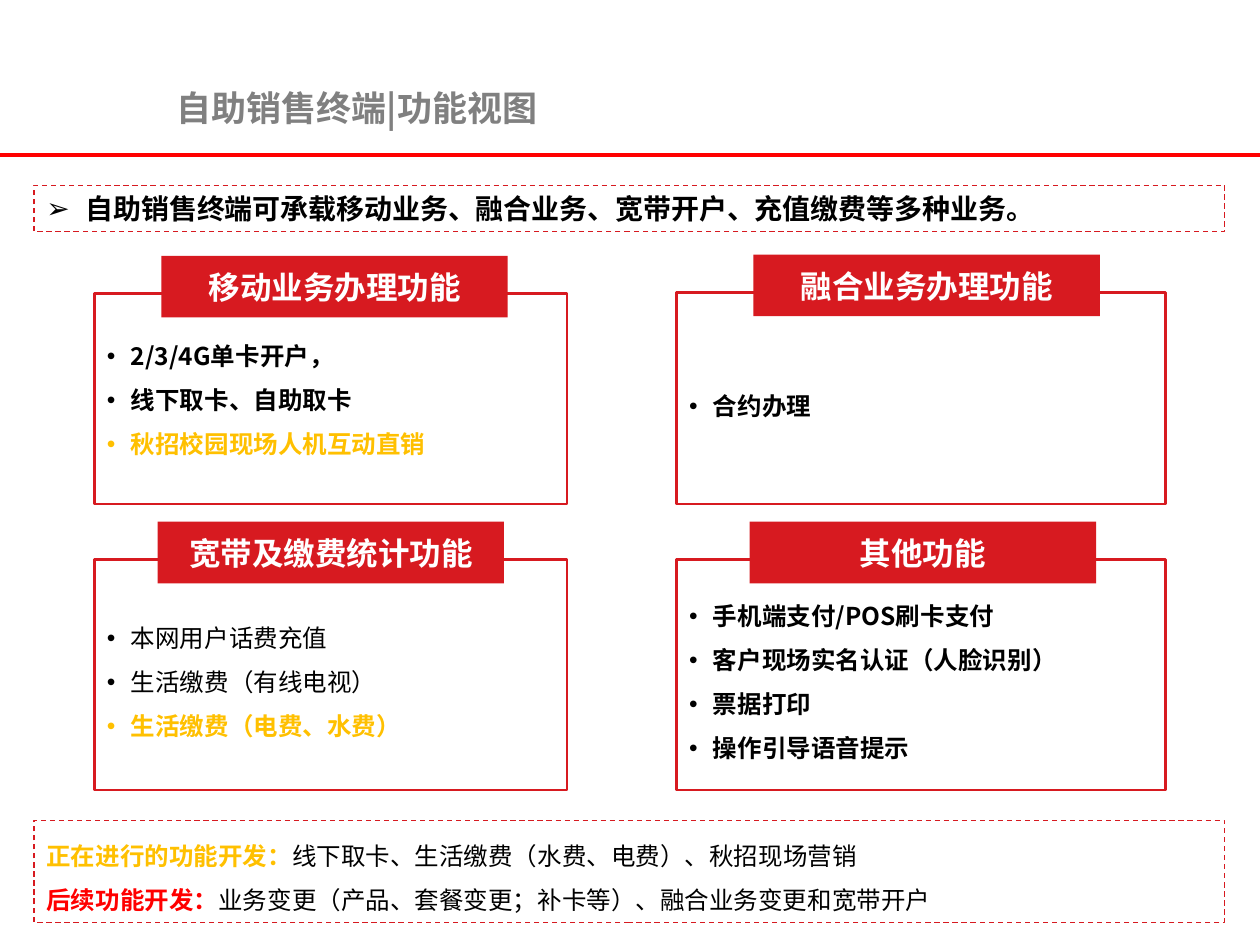
from collections import namedtuple

from lxml.etree import SubElement
from pptx import Presentation
from pptx.dml.color import RGBColor
from pptx.enum.dml import MSO_LINE_DASH_STYLE as Dash
from pptx.enum.shapes import MSO_CONNECTOR as Connector, MSO_SHAPE as Shape
from pptx.enum.text import MSO_ANCHOR as Anchor, MSO_AUTO_SIZE as AutoSize, PP_ALIGN as Align
from pptx.oxml.ns import qn
from pptx.util import Inches, Pt

FONT = "Noto Sans CJK SC"
CRIMSON = RGBColor(0xD7, 0x1A, 0x20)
RED = RGBColor(0xFF, 0x00, 0x00)
AMBER = RGBColor(0xFF, 0xC0, 0x00)
GRAY = RGBColor(0x80, 0x80, 0x80)
BLACK = RGBColor(0x00, 0x00, 0x00)
WHITE = RGBColor(0xFF, 0xFF, 0xFF)

WIDTH, HEIGHT = Inches(10), Inches(7.5)
COLUMN, ROW = WIDTH / 100, HEIGHT / 75

Box = namedtuple("Box", "left top width height")
Item = namedtuple("Item", "text color bold", defaults=(BLACK, True))


def place(box):
    return (int(box.left * COLUMN), int(box.top * ROW),
            int(box.width * COLUMN), int(box.height * ROW))


def style_span(span, size, color, bold):
    span.font.name = FONT
    span.font.size = Pt(size)
    span.font.bold = bold
    span.font.color.rgb = color
    SubElement(span.font._element, qn("a:ea"), typeface=FONT)


def add_bullet(para, symbol, indent):
    props = para._p.get_or_add_pPr()
    props.set("marL", str(Inches(indent)))
    props.set("indent", str(-Inches(indent)))
    SubElement(props, qn("a:buFont"), typeface="Arial")
    SubElement(props, qn("a:buChar"), char=symbol)


def add_box(page, box, fill=None, line_width=None, dash=None):
    shape = page.shapes.add_shape(Shape.RECTANGLE, *place(box))
    shape.shadow.inherit = False
    if fill is None:
        shape.fill.background()
    else:
        shape.fill.solid()
        shape.fill.fore_color.rgb = fill
    if line_width is None:
        shape.line.fill.background()
    else:
        shape.line.color.rgb = CRIMSON
        shape.line.width = Pt(line_width)
        if dash is not None:
            shape.line.dash_style = dash
    shape.text_frame.word_wrap = True
    shape.text_frame.vertical_anchor = Anchor.MIDDLE
    return shape


def write_lines(frame, lines, size, align=Align.LEFT, spacing=None, bullet=None, indent=0):
    frame.text = "\n".join("".join(item.text for item in line) for line in lines)
    for para, line in zip(frame.paragraphs, lines):
        para.alignment = align
        para.line_spacing = spacing
        if bullet:
            add_bullet(para, bullet, indent)
        para.runs[0].text = line[0].text
        for item in line[1:]:
            para.add_run().text = item.text
        for span, item in zip(para.runs, line):
            style_span(span, size, item.color, item.bold)


def add_header(page, box, text):
    title = page.shapes.title
    title.left, title.top, title.width, title.height = place(box)
    frame = title.text_frame
    frame.vertical_anchor = Anchor.MIDDLE
    write_lines(frame, [[Item(text, GRAY)]], 20)
    rule_top = int((box.top + 6) * ROW)
    rule = page.shapes.add_connector(Connector.STRAIGHT, 0, rule_top, WIDTH, rule_top)
    rule.line.color.rgb = RED
    rule.line.width = Pt(2)
    SubElement(rule._element.spPr, qn("a:effectLst"))


def add_panel(page, box, tab_offset, heading, items, bottom_inset=0.05):
    body = add_box(page, box, line_width=1.5)
    body.text_frame.margin_bottom = Inches(bottom_inset)
    write_lines(body.text_frame, [[item] for item in items], 14,
                spacing=1.5, bullet="•", indent=0.19)
    tab = add_box(page, Box(box.left + tab_offset, box.top - 3, 27.5, 4.9), fill=CRIMSON)
    write_lines(tab.text_frame, [[Item(heading, WHITE)]], 18, Align.CENTER)


def add_callout(page, box, lines, size, anchor, **layout):
    callout = add_box(page, box, line_width=0.75, dash=Dash.DASH)
    callout.text_frame.vertical_anchor = anchor
    callout.text_frame.auto_size = AutoSize.SHAPE_TO_FIT_TEXT
    write_lines(callout.text_frame, lines, size, **layout)


def main():
    deck = Presentation()
    deck.slide_width, deck.slide_height = WIDTH, HEIGHT
    page = deck.slides.add_slide(deck.slide_layouts[5])

    add_header(page, Box(13, 6.3, 69.3, 4.5), "自助销售终端|功能视图")

    add_panel(page, Box(7.5, 23.3, 37.5, 16.7), 5.3, "移动业务办理功能", [
        Item("2/3/4G单卡开户，"),
        Item("线下取卡、自助取卡"),
        Item("秋招校园现场人机互动直销", AMBER),
    ], bottom_inset=0.15)
    add_panel(page, Box(53.7, 23.2, 38.8, 16.8), 6.1, "融合业务办理功能", [
        Item("合约办理"),
    ])
    add_panel(page, Box(7.5, 44.4, 37.5, 18.3), 5, "宽带及缴费统计功能", [
        Item("本网用户话费充值", bold=False),
        Item("生活缴费（有线电视）", bold=False),
        Item("生活缴费（电费、水费）", AMBER),
    ])
    add_panel(page, Box(53.7, 44.4, 38.8, 18.3), 5.8, "其他功能", [
        Item("手机端支付/POS刷卡支付"),
        Item("客户现场实名认证（人脸识别）"),
        Item("票据打印"),
        Item("操作引导语音提示"),
    ])

    add_callout(page, Box(2.7, 14.7, 94.5, 3.7), [
        [Item("自助销售终端可承载移动业务、融合业务、宽带开户、充值缴费等多种业务。")],
    ], 16, Anchor.MIDDLE, bullet="➢", indent=0.31)
    add_callout(page, Box(2.7, 65.1, 94.5, 8.1), [
        [Item("正在进行的功能开发：", AMBER),
         Item("线下取卡、生活缴费（水费、电费）、秋招现场营销", bold=False)],
        [Item("后续功能开发：", RED),
         Item("业务变更（产品、套餐变更；补卡等）、融合业务变更和宽带开户", bold=False)],
    ], 14, Anchor.TOP, align=Align.JUSTIFY, spacing=1.5)

    deck.save("out.pptx")


if __name__ == "__main__":
    main()
